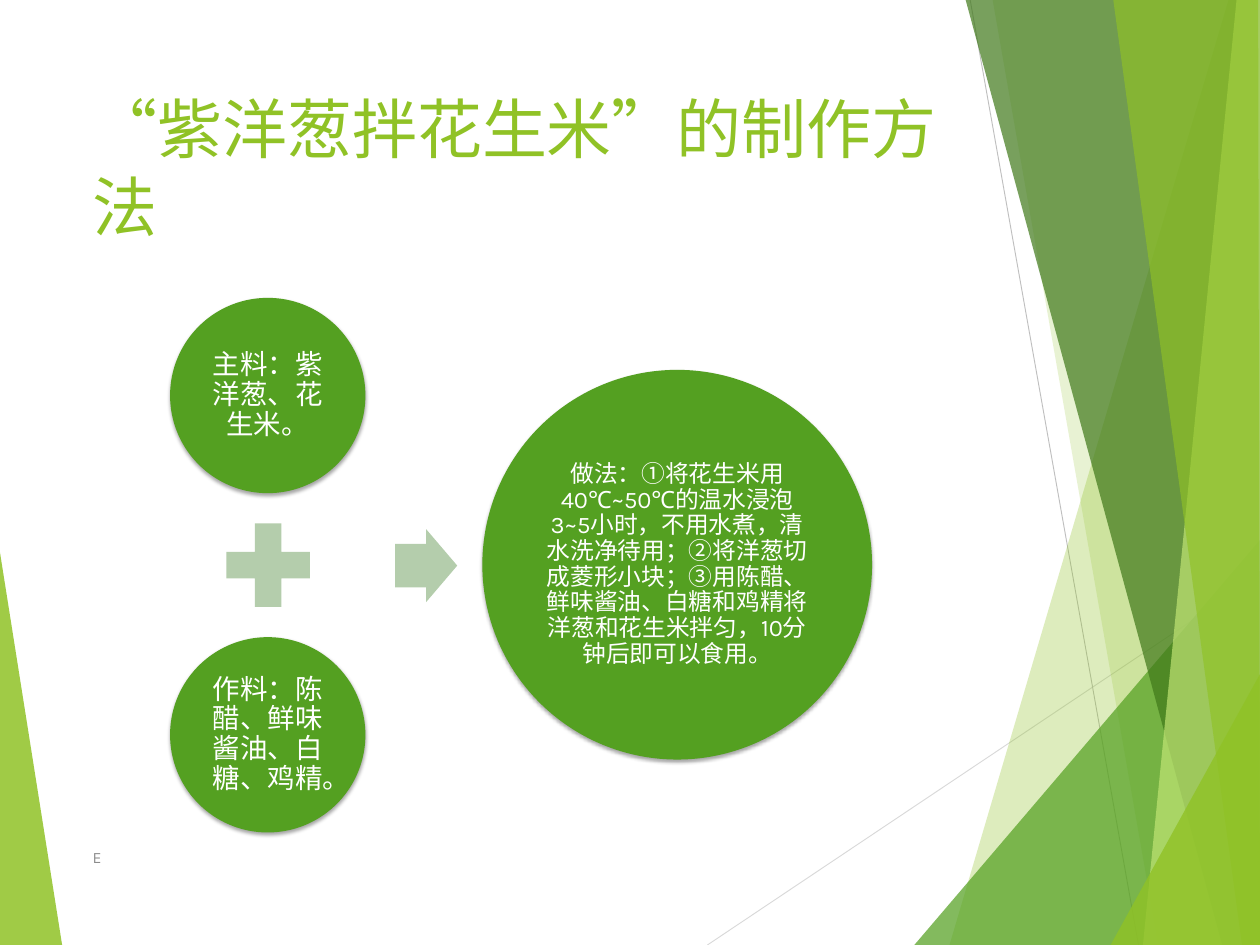
from lxml import etree
from pptx import Presentation
from pptx.dml.color import RGBColor
from pptx.enum.lang import MSO_LANGUAGE_ID
from pptx.enum.shapes import MSO_CONNECTOR, MSO_SHAPE
from pptx.enum.text import MSO_ANCHOR, PP_ALIGN
from pptx.oxml import parse_xml
from pptx.oxml.ns import nsdecls, qn
from pptx.util import Inches, Pt

LIME = RGBColor(0x90, 0xC2, 0x26)
PALE_LIME = RGBColor(0xC0, 0xE4, 0x74)
GREEN = RGBColor(0x54, 0xA0, 0x21)
DARK_GREEN = RGBColor(0x3F, 0x78, 0x19)
SAGE = RGBColor(0xB4, 0xCD, 0xAC)
WHITE = RGBColor(0xFF, 0xFF, 0xFF)
GRAY = RGBColor(0x8C, 0x8C, 0x8C)
LIGHT_GRAY = RGBColor(0xD9, 0xD9, 0xD9)
MID_GRAY = RGBColor(0xBF, 0xBF, 0xBF)

SHADOW = (
    f'<a:effectLst {nsdecls("a")}>'
    '<a:outerShdw blurRad="38100" dist="25400" dir="5400000" rotWithShape="0">'
    '<a:srgbClr val="000000"><a:alpha val="35000"/></a:srgbClr>'
    '</a:outerShdw></a:effectLst>'
)


def paint(sp, color, opacity=100):
    """Give a shape a flat fill with no outline or shadow; opacity in percent."""
    sp.shadow.inherit = False
    sp.line.fill.background()
    sp.fill.solid()
    sp.fill.fore_color.rgb = color
    if opacity < 100:
        clr = sp.fill._xPr.find(qn("a:solidFill"))[0]
        etree.SubElement(clr, qn("a:alpha")).set("val", str(opacity * 1000))


def write(sp, text, size, color, anchor):
    tf = sp.text_frame
    tf.word_wrap = True
    tf.vertical_anchor = anchor
    p = tf.paragraphs[0]
    p.text = text
    p.font.name = "Karla"
    p.font.size = Pt(size)
    p.font.color.rgb = color
    p.font.language_id = MSO_LANGUAGE_ID.SIMPLIFIED_CHINESE
    return p


prs = Presentation()
prs.slide_width = Inches(14)
prs.slide_height = Inches(10.5)
s = prs.slides.add_slide(prs.slide_layouts[6])

# Thin lines behind the facets
for x1, y1, x2, y2, color in [
    (7.86, 10.5, 14, 6.39, LIGHT_GRAY),
    (10.78, 0, 12.65, 10.5, MID_GRAY),
]:
    line = s.shapes.add_connector(
        MSO_CONNECTOR.STRAIGHT, Inches(x1), Inches(y1), Inches(x2), Inches(y2))
    line.line.color.rgb = color
    line.line.width = Pt(0.75)
    etree.SubElement(line._element.spPr, qn("a:effectLst"))

# Translucent facets, from back to front
facets = [
    ([(0, 6.14), (0.69, 10.5), (0, 10.5)], LIME, 85),
    ([(13.65, 0), (10.55, 10.5), (14, 10.5), (14, 0)], LIME, 30),
    ([(11.03, 0), (12.87, 10.5), (14, 10.5), (14, 0)], LIME, 20),
    ([(10.16, 10.5), (14, 6), (14, 10.5)], GREEN, 72),
    ([(10.73, 0), (13.58, 10.5), (14, 10.5), (14, 0)], DARK_GREEN, 70),
    ([(13.74, 0), (12.7, 10.5), (14, 10.5), (14, 0)], PALE_LIME, 70),
    ([(12.37, 0), (13.8, 10.5), (14, 10.5), (13.98, 0)], LIME, 65),
    ([(12.34, 10.5), (14, 7.49), (14, 10.5)], LIME, 80),
]
for corners, color, opacity in facets:
    points = [(Inches(x), Inches(y)) for x, y in corners]
    outline = s.shapes.build_freeform(*points[0])
    outline.add_line_segments(points[1:])
    paint(outline.convert_to_shape(), color, opacity)

title = s.shapes.add_textbox(Inches(0.93), Inches(0.93), Inches(9.72), Inches(2.02))
write(title, "“紫洋葱拌花生米”的制作方法", 52, LIME, MSO_ANCHOR.TOP)

# Ingredients plus seasoning lead to the method
circles = [
    (1.89, 3.31, 2.17, 22, "主料：紫洋葱、花生米。"),
    (1.89, 7.08, 2.17, 22, "作料：陈醋、鲜味酱油、白糖、鸡精。"),
    (5.36, 4.11, 4.33, 19,
     "做法：①将花生米用40℃~50℃的温水浸泡3~5小时，不用水煮，清水洗净待用；"
     "②将洋葱切成菱形小块；③用陈醋、鲜味酱油、白糖和鸡精将洋葱和花生米拌匀，"
     "10分钟后即可以食用。"),
]
for x, y, diameter, size, text in circles:
    circle = s.shapes.add_shape(
        MSO_SHAPE.OVAL, Inches(x), Inches(y), Inches(diameter), Inches(diameter))
    paint(circle, GREEN)
    spPr = circle._element.spPr
    spPr.replace(spPr.find(qn("a:effectLst")), parse_xml(SHADOW))
    tf = circle.text_frame
    tf.margin_left = tf.margin_right = tf.margin_top = tf.margin_bottom = Inches(0.03)
    p = write(circle, text, size, WHITE, MSO_ANCHOR.MIDDLE)
    p.alignment = PP_ALIGN.CENTER
    p.line_spacing = 0.9

plus = s.shapes.add_shape(
    MSO_SHAPE.MATH_PLUS, Inches(2.35), Inches(5.65), Inches(1.26), Inches(1.26))
paint(plus, SAGE)
arrow = s.shapes.add_shape(
    MSO_SHAPE.RIGHT_ARROW, Inches(4.39), Inches(5.88), Inches(0.69), Inches(0.81))
arrow.adjustments[0] = 0.6
paint(arrow, SAGE)

footer = s.shapes.add_textbox(Inches(0.93), Inches(9.25), Inches(7.08), Inches(0.56))
write(footer, "E", 12.6, GRAY, MSO_ANCHOR.MIDDLE)

prs.save("out.pptx")
